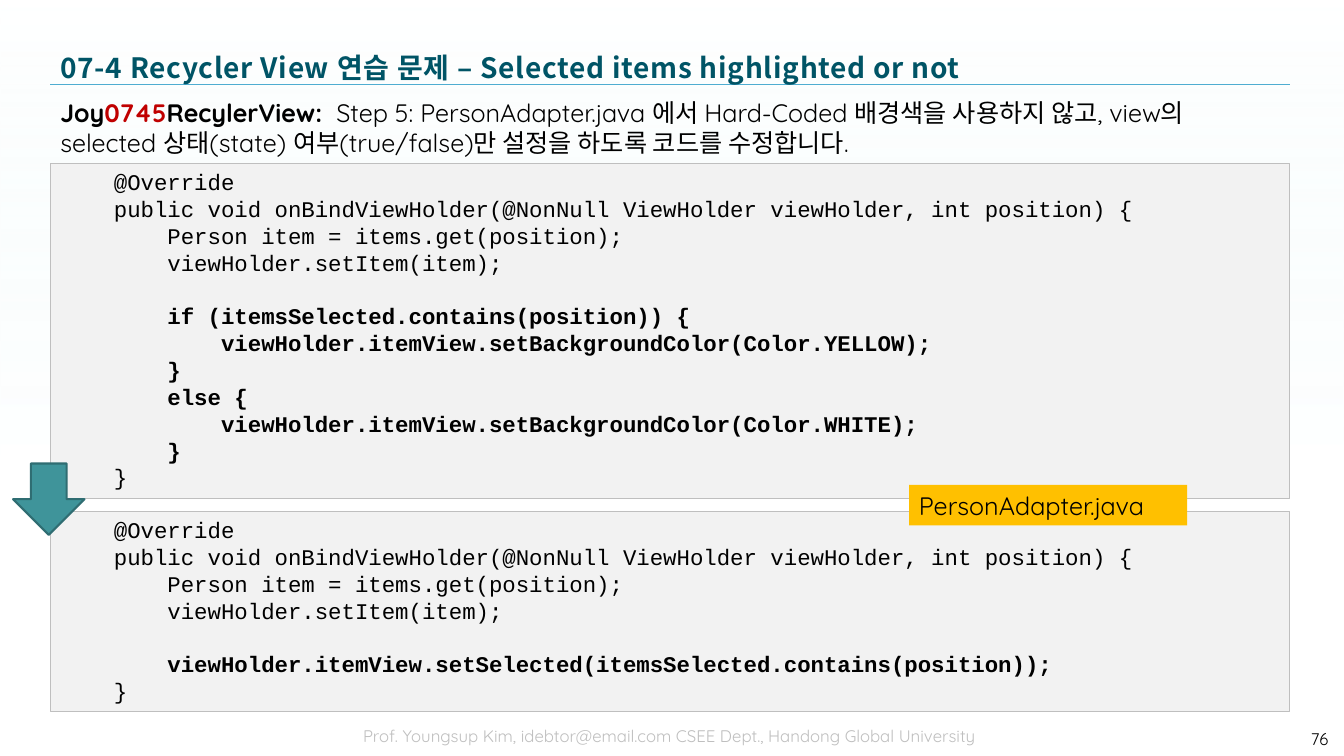
import pptx
import pptx.dml.color
import pptx.enum.shapes
import pptx.enum.text
import pptx.oxml
import pptx.oxml.ns
import pptx.util
from pptx.util import Cm, Pt

SHAPE = pptx.enum.shapes.MSO_SHAPE
ALIGN = pptx.enum.text.PP_ALIGN
ANCHOR = pptx.enum.text.MSO_ANCHOR
LEFT, WIDTH = 1.27, 31.24


def colour(code):
    return pptx.dml.color.RGBColor.from_string(code)


def write(box, paragraphs, layout, font):
    """Fill a box with paragraphs, each a list of (text, font changes) spans."""
    frame = box.text_frame
    frame.word_wrap = True
    frame.vertical_anchor = layout.get("anchor", ANCHOR.TOP)
    for index, spans in enumerate(paragraphs):
        para = frame.paragraphs[0] if index == 0 else frame.add_paragraph()
        para.alignment = layout.get("alignment", ALIGN.LEFT)
        para.line_spacing = layout.get("line_spacing")
        for text, changes in spans:
            span = para.add_run()
            span.text = text
            for name, value in {**font, **changes}.items():
                if name == "color":
                    span.font.color.rgb = colour(value)
                else:
                    setattr(span.font, name, value)
            east_asian = pptx.oxml.parse_xml(
                f'<a:ea {pptx.oxml.ns.nsdecls("a")} typeface="Noto Sans CJK KR"/>')
            span.font._element.find(pptx.oxml.ns.qn("a:latin")).addnext(east_asian)


deck = pptx.Presentation()
deck.slide_width, deck.slide_height = Cm(33.87), Cm(19.05)
page = deck.slides.add_slide(deck.slide_layouts[6])

# Background tint
tint = page.shapes.add_shape(SHAPE.RECTANGLE, 0, 0, deck.slide_width, deck.slide_height)
tint.shadow.inherit = False
tint.line.fill.background()
tint.fill.gradient()
tint.fill.gradient_angle = 270
for stop, (position, code) in zip(tint.fill.gradient_stops, [(0, "D9F3F4"), (0.61, "FFFFFF")]):
    stop.position = position
    stop.color.rgb = colour(code)
for element, opacity in zip(tint._element.iter(pptx.oxml.ns.qn("a:srgbClr")), [0, 40000]):
    element.append(pptx.oxml.parse_xml(
        f'<a:alpha {pptx.oxml.ns.nsdecls("a")} val="{opacity}"/>'))

# Rule under the title
rule = page.shapes.add_connector(
    pptx.enum.shapes.MSO_CONNECTOR.STRAIGHT, Cm(LEFT), Cm(2.13), Cm(LEFT + WIDTH), Cm(2.13))
rule.line.color.rgb = colour("4FADD1")
rule.line.width = Pt(0.25)
rule._element.spPr.append(pptx.oxml.parse_xml(f'<a:effectLst {pptx.oxml.ns.nsdecls("a")}/>'))

# Title, task, footer and page number
plain = {"name": "Quicksand", "size": Pt(18), "color": "000000", "bold": False}
small = {**plain, "size": Pt(12)}
heading = {"name": "Noto Sans CJK KR", "size": Pt(20), "color": "005466", "bold": True}
title = [("07-4 Recycler View 연습 문제 – Selected items highlighted or not", {})]
task = [
    ("Joy", {"bold": True}),
    ("0745", {"bold": True, "color": "C00000"}),
    ("RecylerView:  ", {"bold": True}),
    ("Step 5: PersonAdapter.java 에서 Hard-Coded 배경색을 사용하지 않고, view의 "
     "selected 상태(state) 여부(true/false)만 설정을 하도록 코드를 수정합니다.", {}),
]
footer = [("Prof. Youngsup Kim, idebtor@email.com CSEE Dept., Handong Global University",
           {"color": "BFBFBF"})]
for at, spans, layout, font in [
    ((LEFT, 1.07, WIDTH, 1.27), title, {"anchor": ANCHOR.MIDDLE}, heading),
    ((LEFT, 2.34, WIDTH, 1.75), task, {"line_spacing": Pt(21.5)}, plain),
    ((6.17, 18.16, 21.41, 0.91), footer, {"alignment": ALIGN.CENTER}, small),
    ((30.76, 18.11, 2.97, 1.02), [("76", {})],
     {"anchor": ANCHOR.MIDDLE, "alignment": ALIGN.RIGHT}, small),
]:
    box = page.shapes.add_textbox(*map(Cm, at))
    write(box, [spans], layout, font)
    if font is heading:
        box.text_frame.paragraphs[0].runs[0].font._element.set("spc", "50")

# Code panels, file label and arrow
method_start = """\
    @Override
    public void onBindViewHolder(@NonNull ViewHolder viewHolder, int position) {
        Person item = items.get(position);
        viewHolder.setItem(item);

"""
colour_body = """\
        if (itemsSelected.contains(position)) {
            viewHolder.itemView.setBackgroundColor(Color.YELLOW);
        }
        else {
            viewHolder.itemView.setBackgroundColor(Color.WHITE);
        }
"""
state_body = """\
        viewHolder.itemView.setSelected(itemsSelected.contains(position));
"""
code_font = {**plain, "name": "Courier New", "size": Pt(16)}
code_layout = {"line_spacing": Pt(19.2)}
panels = []
for top, height, body in [(4.11, 8.46, colour_body), (12.88, 5.05, state_body)]:
    lines = [
        [(line, {"bold": part is body})]
        for part in (method_start, body, "    }")
        for line in part.splitlines()
    ]
    panels.append((SHAPE.RECTANGLE, (LEFT, top, WIDTH, height), "F2F2F2", ("BFBFBF", 0.75),
                   lines, code_layout, code_font))

for kind, at, fill, outline, paragraphs, layout, font in panels + [
    (SHAPE.RECTANGLE, (22.91, 12.22, 7.01, 1.02), "FFC000", None,
     [[("PersonAdapter.java", {})]], {}, plain),
    (SHAPE.DOWN_ARROW, (0.33, 11.68, 1.8, 1.8), "3F949A", ("2F6D72", 1.5), [], {}, plain),
]:
    box = page.shapes.add_shape(kind, *map(Cm, at))
    box.shadow.inherit = False
    box.fill.solid()
    box.fill.fore_color.rgb = colour(fill)
    if outline:
        box.line.color.rgb = colour(outline[0])
        box.line.width = Pt(outline[1])
    else:
        box.line.fill.background()
    write(box, paragraphs, layout, font)

deck.save("out.pptx")
